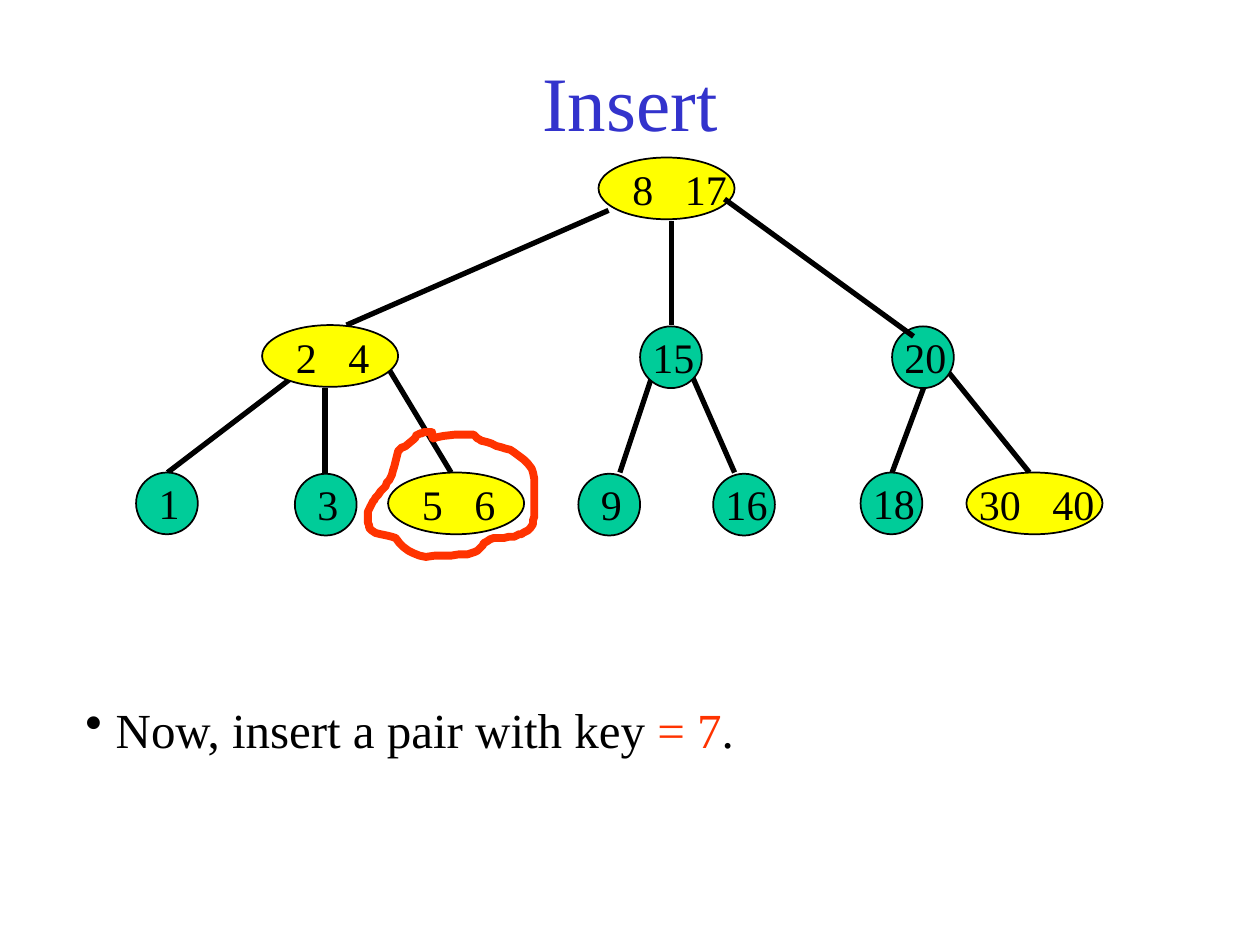
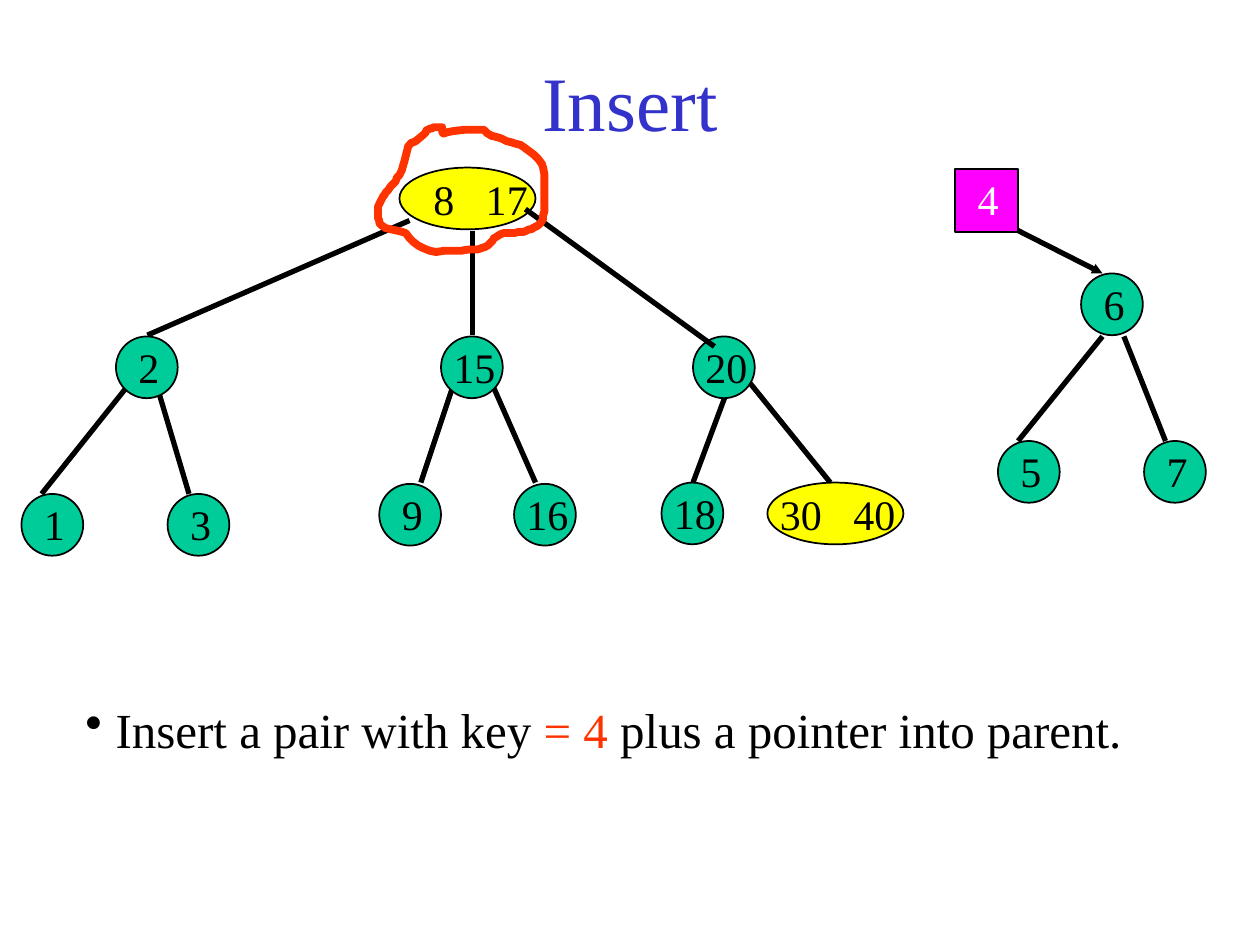
from dataclasses import dataclass

from lxml import etree
from pptx import Presentation
from pptx.dml.color import RGBColor
from pptx.enum.shapes import MSO_CONNECTOR as CONN, MSO_SHAPE as SHAPE
from pptx.enum.text import MSO_ANCHOR as ANCHOR, PP_ALIGN as ALIGN
from pptx.oxml.ns import qn
from pptx.util import Inches, Pt

FONT = "Times New Roman"
COLORS = {
    "title": "3333CC", "ink": "000000", "accent": "FF3300", "white": "FFFFFF",
    "single": "00CC99", "pair": "FFFF00", "pending": "FF00FF",
}
NODE_H = 0.49
PAIR_W = 1.08
DIGIT_W = 24 / 72 / 2  # width of one digit at 24 pt
KEY_GAP = 0.25


@dataclass
class Node:
    x: float
    y: float
    keys: str  # keys separated by a space
    pending: bool = False  # the pair that still has to be inserted


@dataclass
class Edge:
    x1: float
    y1: float
    x2: float
    y2: float
    arrow: bool = False
    over: bool = False  # drawn above the nodes


@dataclass
class Step:
    nodes: list[Node]
    edges: list[Edge]
    shift: tuple[float, float]  # where the shared tree moves
    loop: tuple[float, float]
    caption: list[tuple[str, str]]


# Part of the tree that both slides show
TREE_NODES = [
    Node(4.75, 1.25, "8 17"), Node(5.08, 2.59, "15"), Node(7.08, 2.59, "20"),
    Node(4.59, 3.76, "9"), Node(5.66, 3.76, "16"), Node(6.83, 3.75, "18"),
    Node(7.67, 3.75, "30 40"),
]
TREE_EDGES = [
    Edge(4.83, 1.67, 2.75, 2.58), Edge(5.33, 1.75, 5.33, 2.58),
    Edge(5.75, 1.58, 7.25, 2.67, over=True),
    Edge(5.17, 3, 4.92, 3.75), Edge(5.5, 3, 5.83, 3.75),
    Edge(7.33, 3.08, 7.08, 3.75, over=True), Edge(7.5, 2.92, 8.17, 3.75),
]

STEPS = [
    Step(
        [Node(2.08, 2.58, "2 4"), Node(1.08, 3.75, "1"),
         Node(2.34, 3.76, "3"), Node(3.08, 3.75, "5 6")],
        [Edge(2.42, 2.92, 1.33, 3.75), Edge(2.58, 3.08, 2.58, 3.75),
         Edge(3.08, 2.92, 3.58, 3.75)],
        (0, 0), (2.92, 3.42),
        [("Now, insert a pair with key ", "ink"), ("= 7", "accent"), (".", "ink")],
    ),
    Step(
        [Node(0.92, 2.67, "2"), Node(0.17, 3.92, "1"), Node(1.33, 3.92, "3"),
         Node(7.58, 1.34, "4", pending=True), Node(8.58, 2.17, "6"),
         Node(7.92, 3.5, "5"), Node(9.08, 3.5, "7")],
        [Edge(1, 3.08, 0.33, 3.92), Edge(1.25, 3.08, 1.5, 3.92),
         Edge(8.08, 1.83, 8.75, 2.17, arrow=True),
         Edge(8.75, 2.67, 8.08, 3.5), Edge(8.92, 2.67, 9.25, 3.5)],
        (-1.58, 0.08), (3, 1),
        [("Insert a pair with key ", "ink"), ("= 4 ", "accent"),
         ("plus a pointer into parent.", "ink")],
    ),
]

# Hand-drawn loop: start, then two control points and an end per curve,
# in hundredths of an inch
LOOP_START = (51, 1)
LOOP_CURVES = [
    (47, 1, 44, 1, 41, 2), (39, 3, 38, 5, 36, 7), (19, 20, 34, 7, 24, 16),
    (21, 23, 21, 32, 17, 39), (14, 44, 10, 48, 6, 53), (3, 56, 2, 60, 0, 64),
    (0, 68, 0, 73, 1, 77), (2, 82, 17, 83, 22, 85), (28, 93, 35, 98, 46, 100),
    (59, 98, 73, 100, 85, 96), (88, 94, 91, 91, 94, 88),
    (99, 84, 109, 85, 116, 84), (119, 82, 124, 82, 127, 79),
    (132, 76, 132, 65, 132, 65), (132, 55, 133, 44, 131, 33),
    (130, 26, 118, 19, 113, 15), (106, 12, 98, 11, 91, 8),
    (90, 8, 84, 3, 83, 3), (50, 0, 51, 12, 51, 1),
]


def rgb(name: str) -> RGBColor:
    return RGBColor.from_string(COLORS[name])


def add_text(slide, runs, x, y, w, h, *, size=24, align=ALIGN.LEFT,
             anchor=ANCHOR.TOP, tab=0.0, bullet=0.0) -> None:
    """Write (text, colour) runs in one paragraph; bullet is its indent."""
    box = slide.shapes.add_textbox(Inches(x), Inches(y), Inches(w), Inches(h))
    tf = box.text_frame
    tf.word_wrap = True
    tf.vertical_anchor = anchor
    p = tf.paragraphs[0]
    p.alignment = align
    p_pr = p._p.get_or_add_pPr()
    if bullet:
        p_pr.set("marL", str(Inches(bullet)))
        p_pr.set("indent", str(-Inches(bullet)))
        etree.SubElement(p_pr, qn("a:buChar")).set("char", "•")
    if tab:
        stop = etree.SubElement(etree.SubElement(p_pr, qn("a:tabLst")), qn("a:tab"))
        stop.set("pos", str(Inches(tab)))
        stop.set("algn", "l")
    for text, color in runs:
        r = p.add_run()
        r.text = text
        r.font.name, r.font.size = FONT, Pt(size)
        r.font.color.rgb = rgb(color)


def add_node(slide, node: Node, dx: float = 0, dy: float = 0) -> None:
    keys = node.keys.split()
    paired = len(keys) == 2
    x, y = node.x + dx, node.y + dy
    kind = "pending" if node.pending else "pair" if paired else "single"
    w, h = (0.5, 0.5) if node.pending else (PAIR_W if paired else NODE_H, NODE_H)
    sp = slide.shapes.add_shape(
        SHAPE.RECTANGLE if node.pending else SHAPE.OVAL,
        Inches(x), Inches(y), Inches(w), Inches(h))
    sp.shadow.inherit = False
    sp.fill.solid()
    sp.fill.fore_color.rgb = rgb(kind)
    sp.line.color.rgb = rgb("ink")
    sp.line.width = Pt(1)

    # One-digit keys start further right inside the node
    inset = (0.17 if paired else 0.08) if len(keys[0]) == 1 else 0
    add_text(slide, [("\t".join(keys), "white" if node.pending else "ink")],
             x + inset, y - (0 if paired else 0.01),
             1.25 if paired else 0.42 * len(keys[0]), 0.5,
             tab=len(keys[0]) * DIGIT_W + KEY_GAP if paired else 0)


def add_edge(slide, edge: Edge, dx: float = 0, dy: float = 0) -> None:
    cx = slide.shapes.add_connector(
        CONN.STRAIGHT, Inches(edge.x1 + dx), Inches(edge.y1 + dy),
        Inches(edge.x2 + dx), Inches(edge.y2 + dy))
    cx.line.color.rgb = rgb("ink")
    cx.line.width = Pt(3)
    if edge.arrow:
        tail = etree.SubElement(cx.line._get_or_add_ln(), qn("a:tailEnd"))
        for key, value in (("type", "triangle"), ("w", "sm"), ("len", "sm")):
            tail.set(key, value)
    etree.SubElement(cx._element.spPr, qn("a:effectLst"))


def loop_points(steps: int = 6) -> list[tuple[float, float]]:
    """Points along the loop's Bézier curves."""
    points, start = [], LOOP_START
    for x1, y1, x2, y2, x3, y3 in LOOP_CURVES:
        for t in (i / steps for i in range(1, steps + 1)):
            u = 1 - t
            weights = (u**3, 3 * u * u * t, 3 * u * t * t, t**3)
            points.append((
                sum(k * v for k, v in zip(weights, (start[0], x1, x2, x3))),
                sum(k * v for k, v in zip(weights, (start[1], y1, y2, y3)))))
        start = (x3, y3)
    return points


def add_loop(slide, x: float, y: float) -> None:
    builder = slide.shapes.build_freeform(*LOOP_START, scale=Inches(0.01))
    builder.add_line_segments(loop_points(), close=True)
    sp = builder.convert_to_shape(Inches(x), Inches(y))
    sp.shadow.inherit = False
    sp.fill.background()
    sp.line.color.rgb = rgb("accent")
    sp.line.width = Pt(4.5)
    etree.SubElement(sp.line._get_or_add_ln(), qn("a:round"))


def add_step(prs, step: Step) -> None:
    slide = prs.slides.add_slide(prs.slide_layouts[6])
    add_text(slide, [("Insert", "title")], 0.75, 0.17, 8.5, 1.25,
             size=44, align=ALIGN.CENTER, anchor=ANCHOR.MIDDLE)
    add_text(slide, step.caption, 0.58, 5.5, 8.83, 0.57, size=28, bullet=0.24)

    # Edges below the nodes, nodes, then edges above them
    edges = [(e, step.shift) for e in TREE_EDGES] + [(e, (0, 0)) for e in step.edges]
    nodes = [(n, step.shift) for n in TREE_NODES] + [(n, (0, 0)) for n in step.nodes]
    for edge, shift in edges:
        if not edge.over:
            add_edge(slide, edge, *shift)
    for node, shift in nodes:
        add_node(slide, node, *shift)
    for edge, shift in edges:
        if edge.over:
            add_edge(slide, edge, *shift)
    add_loop(slide, *step.loop)


def main() -> None:
    prs = Presentation()
    prs.slide_width, prs.slide_height = Inches(10), Inches(7.5)
    for step in STEPS:
        add_step(prs, step)
    prs.save("out.pptx")


if __name__ == "__main__":
    main()
